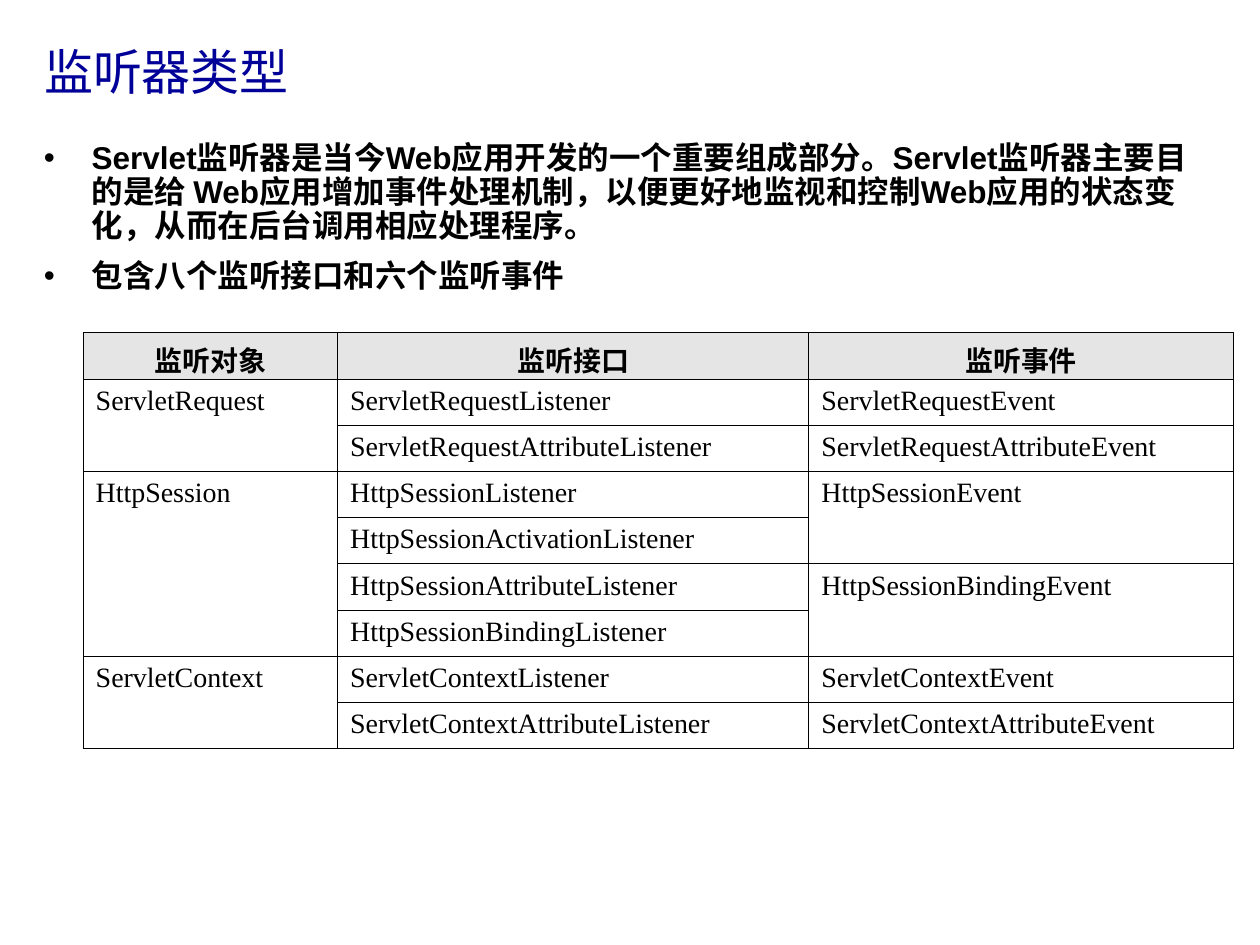
import dataclasses

import lxml.etree
import pptx
import pptx.dml.color
import pptx.enum.text
import pptx.oxml.ns
import pptx.util

ALIGN = pptx.enum.text.PP_ALIGN
ANCHOR = pptx.enum.text.MSO_ANCHOR
WIDE, HIGH = 10, 7.5


@dataclasses.dataclass(frozen=True)
class Theme:
    sans: str = "Arial"
    serif: str = "Times New Roman"
    ink: str = "000000"
    navy: str = "000099"
    shade: str = "E5E5E5"
    opaque: int = 70
    title: int = 28
    body: int = 18
    cell: int = 16
    line: float = 0.45


THEME = Theme()
TITLE = "监听器类型"
POINTS = [
    "Servlet监听器是当今Web应用开发的一个重要组成部分。Servlet监听器主要目的是给 Web应用增加事件处理机制，以便更好地监视和控制Web应用的状态变化，从而在后台调用相应处理程序。",
    "包含八个监听接口和六个监听事件",
]
ROWS = [
    ("监听对象", "监听接口", "监听事件"),
    ("ServletRequest", "ServletRequestListener", "ServletRequestEvent"),
    (None, "ServletRequestAttributeListener", "ServletRequestAttributeEvent"),
    ("HttpSession", "HttpSessionListener", "HttpSessionEvent"),
    (None, "HttpSessionActivationListener", None),
    (None, "HttpSessionAttributeListener", "HttpSessionBindingEvent"),
    (None, "HttpSessionBindingListener", None),
    ("ServletContext", "ServletContextListener", "ServletContextEvent"),
    (None, "ServletContextAttributeListener", "ServletContextAttributeEvent"),
]
COLS = (2.02, 3.74, 3.37)


def rgb(code):
    return pptx.dml.color.RGBColor.from_string(code)


def node(root, tag, **attrs):
    return lxml.etree.SubElement(root, pptx.oxml.ns.qn(tag), attrs)


def box(left, top, width, height):
    shares = (left * WIDE, top * HIGH, width * WIDE, height * HIGH)
    return [pptx.util.Inches(part) for part in shares]


def write(para, text, size, face, color=THEME.ink, bold=False, align=ALIGN.LEFT):
    para.alignment = align
    run = para.add_run()
    run.text = text
    run.font.size = pptx.util.Pt(size)
    run.font.name = face
    run.font.bold = bold
    run.font.color.rgb = rgb(color)


def dot(para):
    props = para._p.get_or_add_pPr()
    hang = pptx.util.Inches(0.38)
    props.set("marL", str(hang))
    props.set("indent", str(-hang))
    node(node(props, "a:buClr"), "a:srgbClr", val=THEME.ink)
    node(props, "a:buFont", typeface=THEME.sans)
    node(props, "a:buChar", char="•")


def add_title(slide):
    shape = slide.shapes.title
    shape.left, shape.top, shape.width, shape.height = box(0.025, 0.03, 0.9, 0.09)
    frame = shape.text_frame
    frame.auto_size = pptx.enum.text.MSO_AUTO_SIZE.NONE
    frame.vertical_anchor = ANCHOR.MIDDLE
    write(frame.paragraphs[0], TITLE, THEME.title, THEME.sans, color=THEME.navy)


def add_list(slide):
    frame = slide.shapes.add_textbox(*box(0.025, 0.144, 0.936, 0.183)).text_frame
    frame.word_wrap = True
    for rank, text in enumerate(POINTS):
        para = frame.add_paragraph() if rank else frame.paragraphs[0]
        dot(para)
        para.line_spacing = 0.9
        para.space_before = pptx.util.Pt(9 if rank else 0)
        write(para, text, THEME.body, THEME.sans, bold=True)


def edge(cell):
    props = cell._tc.get_or_add_tcPr()
    for side in ("a:lnL", "a:lnR", "a:lnT", "a:lnB"):
        line = node(props, side, w=str(pptx.util.Pt(THEME.line)))
        node(node(line, "a:solidFill"), "a:srgbClr", val=THEME.ink)


def paint(cell, head):
    if not head:
        cell.fill.background()
        return
    cell.vertical_anchor = ANCHOR.MIDDLE
    cell.fill.solid()
    cell.fill.fore_color.rgb = rgb(THEME.shade)
    tint = cell._tc.tcPr.find(".//" + pptx.oxml.ns.qn("a:srgbClr"))
    node(tint, "a:alpha", val=str(THEME.opaque * 1000))


def add_grid(slide):
    place = box(0.066, 0.352, sum(COLS) / WIDE, 0.44)
    table = slide.shapes.add_table(len(ROWS), len(COLS), *place).table
    table.horz_banding = False
    for col, width in zip(table.columns, COLS):
        col.width = pptx.util.Inches(width)
    for row, texts in enumerate(ROWS):
        for col, text in enumerate(texts):
            cell = table.cell(row, col)
            edge(cell)
            paint(cell, row == 0)
            if text:
                write(cell.text_frame.paragraphs[0], text, THEME.cell, THEME.serif,
                      bold=row == 0, align=ALIGN.LEFT if row else ALIGN.CENTER)
    for col in range(len(COLS)):
        starts = [row for row, texts in enumerate(ROWS) if texts[col]]
        for top, end in zip(starts, starts[1:] + [len(ROWS)]):
            if end - top > 1:
                table.cell(top, col).merge(table.cell(end - 1, col))


def main():
    deck = pptx.Presentation()
    deck.slide_width = pptx.util.Inches(WIDE)
    deck.slide_height = pptx.util.Inches(HIGH)
    slide = deck.slides.add_slide(deck.slide_layouts[5])
    add_title(slide)
    add_list(slide)
    add_grid(slide)
    deck.save("out.pptx")


if __name__ == "__main__":
    main()
